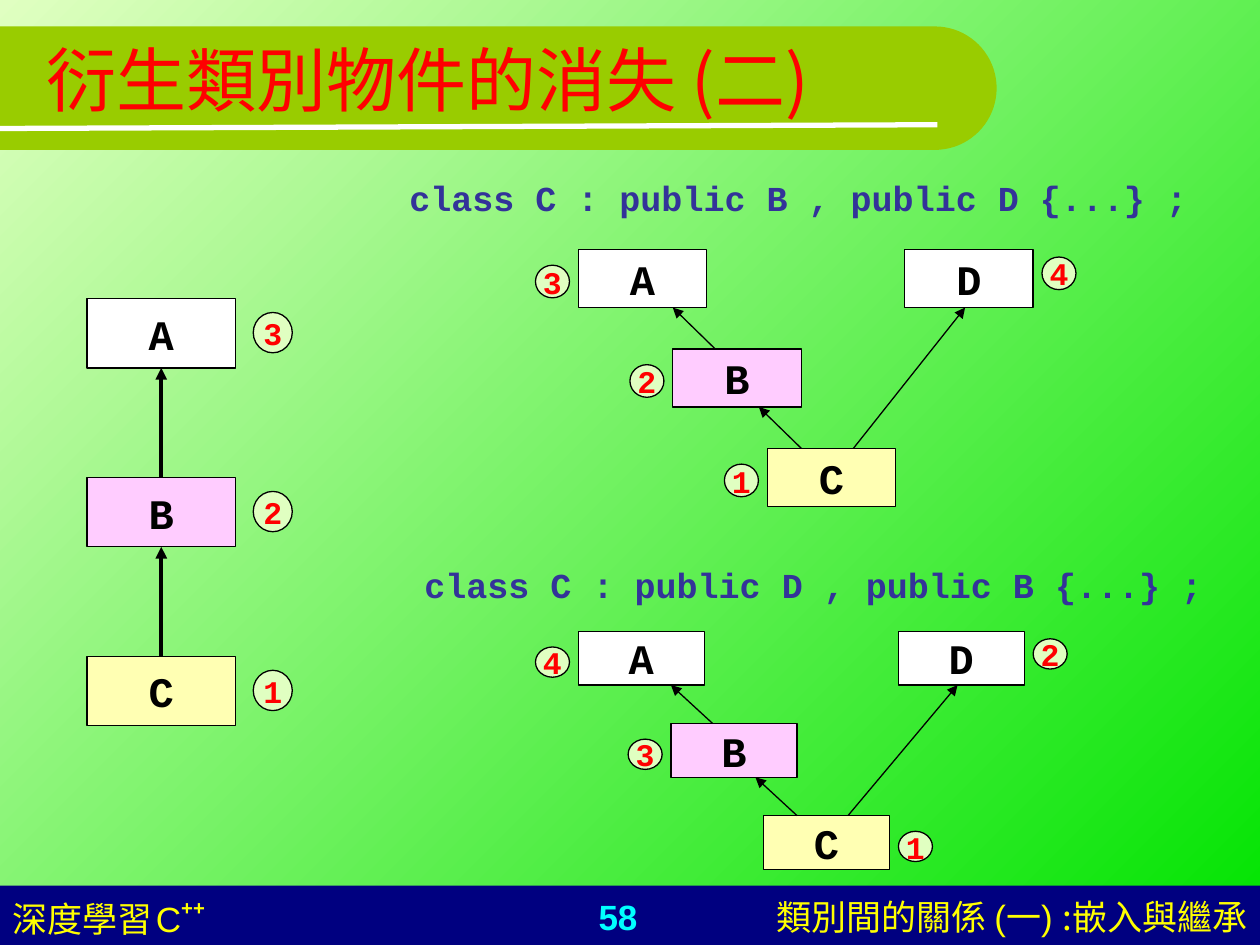
from dataclasses import dataclass
from math import cos, pi, sin

from pptx import Presentation
from pptx import util as u
from pptx.dml.color import RGBColor
from pptx.enum import shapes, text
from pptx.oxml.ns import qn
from lxml import etree

IN = u.Inches


@dataclass(frozen=True)
class Theme:
    # Colours
    light: str = "E0FFC1"
    green: str = "00E400"
    band: str = "99CC00"
    navy: str = "000080"
    white: str = "FFFFFF"
    black: str = "000000"
    red: str = "FF0000"
    yellow: str = "FFFF00"
    cyan: str = "00FFFF"
    code: str = "333399"
    # Fonts
    sans: str = "Arial"
    mono: str = "Courier New"
    hans: str = "Noto Sans CJK SC"
    hant: str = "Noto Sans CJK TC"
    # Type sizes
    head: int = 40
    node: int = 24
    body: int = 20
    mark: int = 18
    gap: int = 8


T = Theme()
FILLS = {"A": T.white, "B": "FFCCFF", "C": "FFFFB3", "D": T.white}


def rgb(code):
    return RGBColor.from_string(code)


def add_run(para, words, size, color, font=T.sans, bold=False, rise=0):
    run = para.add_run()
    run.text = words
    run.font.size = u.Pt(size)
    run.font.bold = bold
    run.font.color.rgb = rgb(color)
    run.font.name = font
    east = etree.SubElement(run.font._element, qn("a:ea"))
    east.set("typeface", font if font in (T.hans, T.hant) else T.hant)
    if rise:
        run.font._element.set("baseline", str(rise * 1000))


def add_text(slide, box, align=text.PP_ALIGN.LEFT):
    """Add an empty text box and return its paragraph."""
    frame = slide.shapes.add_textbox(*map(IN, box)).text_frame
    frame.word_wrap = True
    para = frame.paragraphs[0]
    para.alignment = align
    return para


def add_form(slide, kind, box, fill, label, size, color):
    """Add an outlined shape with one centred label."""
    form = slide.shapes.add_shape(kind, *map(IN, box))
    form.shadow.inherit = False
    form.fill.solid()
    form.fill.fore_color.rgb = rgb(fill)
    form.line.color.rgb = rgb(T.black)
    form.line.width = u.Pt(0.75)
    frame = form.text_frame
    frame.word_wrap = False
    frame.vertical_anchor = text.MSO_ANCHOR.MIDDLE
    para = frame.paragraphs[0]
    para.alignment = text.PP_ALIGN.CENTER
    add_run(para, label, size, color, T.mono, True)


def add_node(slide, name, box):
    add_form(slide, shapes.MSO_SHAPE.RECTANGLE, box, FILLS[name],
             name, T.node, T.black)


def add_mark(slide, num, box):
    add_form(slide, shapes.MSO_SHAPE.OVAL, box, T.light,
             str(num), T.mark, T.red)


def add_line(slide, start, end, color, width, arrow=True):
    line = slide.shapes.add_connector(
        shapes.MSO_CONNECTOR.STRAIGHT, *map(IN, (*start, *end)))
    line.line.color.rgb = rgb(color)
    line.line.width = u.Pt(width)
    if arrow:
        etree.SubElement(line.line._get_or_add_ln(), qn("a:tailEnd"),
                         type="triangle")
    etree.SubElement(line._element.spPr, qn("a:effectLst"))


def add_head(slide, box):
    """Round-ended band, white rule and title."""
    x, y, w, h = box
    rad = h / 2
    mid = x + w - rad
    turns = [pi * (i / 40 - 0.5) for i in range(41)]
    arc = [(mid + rad * cos(t), y + rad + rad * sin(t)) for t in turns]
    path = slide.shapes.build_freeform(IN(x), IN(y))
    path.add_line_segments([(IN(a), IN(b)) for a, b in arc] + [(IN(x), IN(y + h))])
    band = path.convert_to_shape()
    band.shadow.inherit = False
    band.fill.solid()
    band.fill.fore_color.rgb = rgb(T.band)
    band.line.fill.background()
    add_line(slide, (x, y + 0.81), (x + 7.44, y + 0.78), T.white, 3, False)

    title = slide.shapes.title
    title.left, title.top, title.width, title.height = map(
        IN, (x + 0.27, y - 0.21, 9, 1.25))
    slide.shapes._spTree.append(title._element)  # bring in front of the band
    frame = title.text_frame
    frame.auto_size = text.MSO_AUTO_SIZE.NONE
    frame.vertical_anchor = text.MSO_ANCHOR.MIDDLE
    para = frame.paragraphs[0]
    para.alignment = text.PP_ALIGN.LEFT
    add_run(para, "衍生類別物件的消失 ", T.head, T.red)
    add_run(para, "(二)", T.head, T.red, T.hans)


def add_foot(slide, box):
    """Navy bar with course, page and chapter."""
    x, y, w, h = box
    bar = slide.shapes.add_shape(shapes.MSO_SHAPE.RECTANGLE, *map(IN, box))
    bar.shadow.inherit = False
    bar.fill.solid()
    bar.fill.fore_color.rgb = rgb(T.navy)
    bar.line.fill.background()
    top, tall = y + 0.03, h - 0.03

    page = add_text(slide, (x + 3.74, top, 2.33, tall), text.PP_ALIGN.CENTER)
    add_run(page, "58", T.body, T.cyan, bold=True)

    part = add_text(slide, (x + w - 4.92, top, 4.92, tall), text.PP_ALIGN.RIGHT)
    add_run(part, "類別間的關係 (一) ", T.body, T.yellow)
    add_run(part, ":", T.body, T.yellow, T.hant)
    add_run(part, "嵌入與繼承", T.body, T.yellow, T.hans)

    name = add_text(slide, (x, top, 3.58, tall))
    add_run(name, "深度學習", T.body, T.yellow)
    add_run(name, " ", T.gap, T.yellow)
    add_run(name, "C", T.body, T.yellow)
    add_run(name, "++", T.body, T.yellow, bold=True, rise=46)


def add_chain(slide, box):
    """Single inheritance: A over B over C."""
    x, y, w, h = box
    wide, high = 1.18, 0.55
    step = (h - high) / 2
    for i, name in enumerate("ABC"):
        top = y + i * step
        add_node(slide, name, (x, top, wide, high))
        add_mark(slide, 3 - i, (x + w - 0.31, top + 0.11, 0.31, 0.32))
        if i:
            mid = x + wide / 2
            add_line(slide, (mid, top), (mid, top - step + high), T.black, 2.25)


def add_tree(slide, box, marks, right="D"):
    """Multiple inheritance; marks on the nodes in right stand to their right."""
    x, y, w, h = box
    wide, high = 0.2825 * w, 0.226 * h
    dx, dy = 0.2077 * w, (h - high) / 2
    spots = {"A": (x, y), "B": (x + dx, y + dy),
             "C": (x + 2 * dx, y + 2 * dy), "D": (x + w - wide, y)}
    for name, (left, top) in spots.items():
        add_node(slide, name, (left, top, wide, high))
        side = left + wide + 0.07 if name in right else left - 0.34
        drop = 0.06 if name == "D" else 0.125
        add_mark(slide, marks[name], (side, top + drop, 0.27, 0.127 * h))
    # Arrows: child, parent, and where each end falls across its node
    for kid, base, out, into in (("C", "D", 0.67, 0.47),
                                 ("B", "A", 0.33, 0.735),
                                 ("C", "B", 0.265, 0.67)):
        (kx, ky), (bx, by) = spots[kid], spots[base]
        add_line(slide, (kx + out * wide, ky),
                 (bx + into * wide, by + high), T.black, 0.75)


def add_code(slide, box, words):
    para = add_text(slide, box)
    add_run(para, words, T.body, T.code, T.mono, True)


def main():
    deck = Presentation()
    deck.slide_width, deck.slide_height = IN(10), IN(7.5)
    slide = deck.slides.add_slide(deck.slide_layouts[5])
    back = slide.background.fill
    back.gradient()
    back.gradient_angle = 315
    for stop, color in zip(back.gradient_stops, (T.light, T.green)):
        stop.color.rgb = rgb(color)

    add_foot(slide, (0, 7.03, 10, 0.47))
    add_head(slide, (0, 0.21, 7.91, 0.98))
    add_chain(slide, (0.69, 2.37, 1.63, 3.39))
    add_code(slide, (3.15, 1.35, 6.5, 0.44), "class C : public B , public D {...} ;")
    add_tree(slide, (4.59, 1.98, 3.61, 2.04), dict(A=3, B=2, C=1, D=4))
    add_code(slide, (3.27, 4.42, 6.57, 0.44), "class C : public D , public B {...} ;")
    add_tree(slide, (4.59, 5.01, 3.54, 1.89), dict(A=4, B=3, C=1, D=2), "CD")
    deck.save("out.pptx")


if __name__ == "__main__":
    main()
